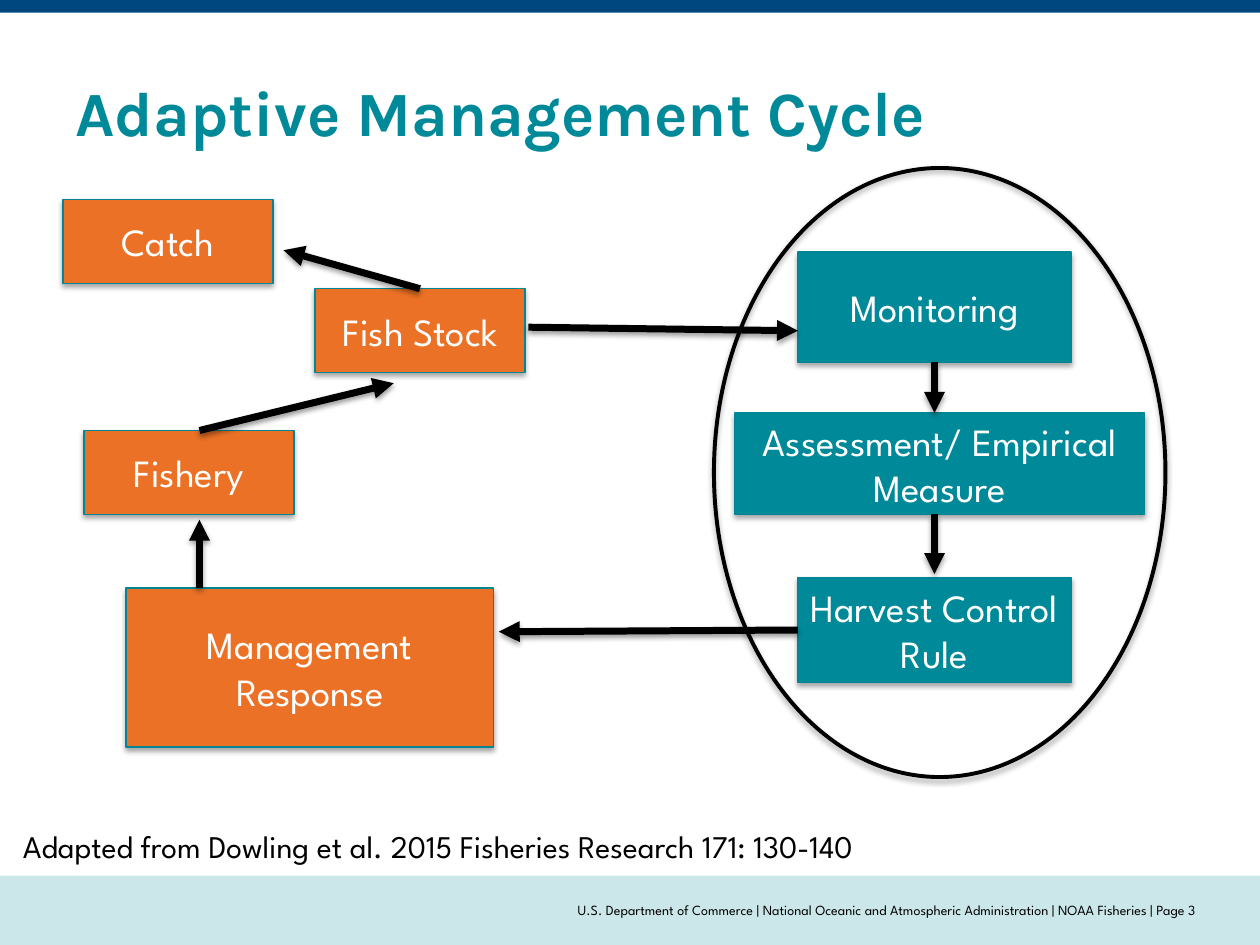
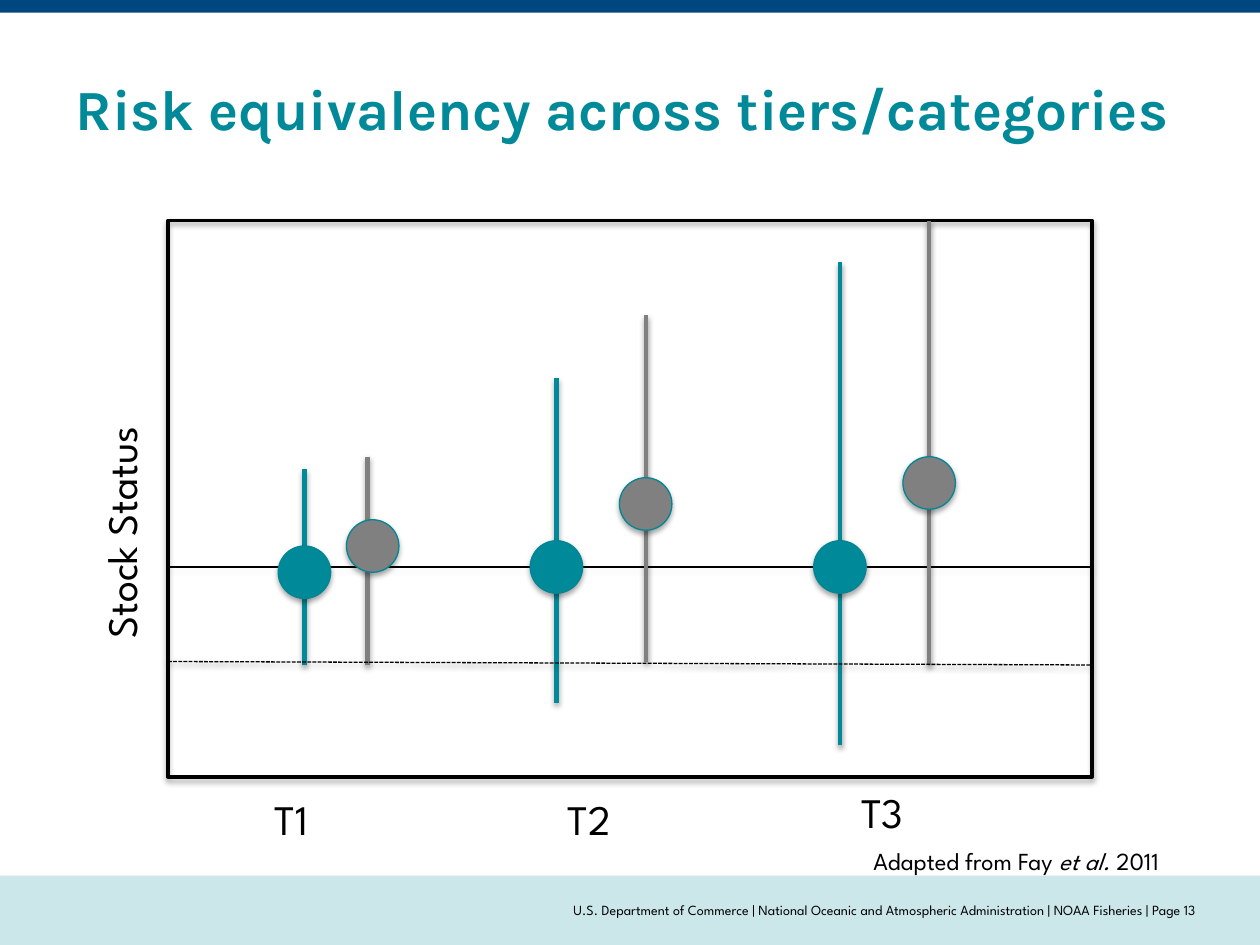
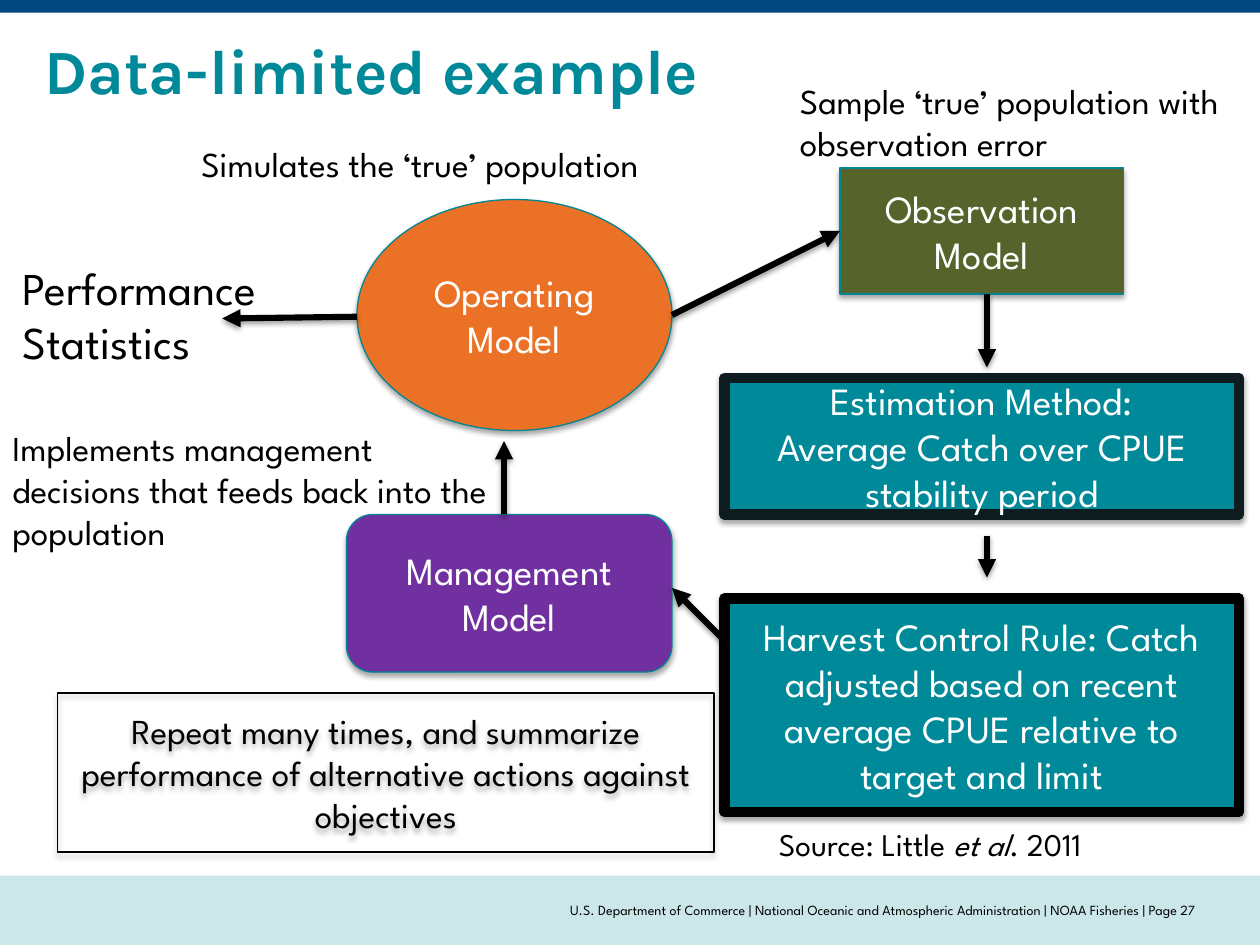
from lxml.etree import SubElement
from pptx import Presentation
from pptx.dml.color import RGBColor
from pptx.enum.dml import MSO_LINE
from pptx.enum.shapes import MSO_CONNECTOR, MSO_SHAPE
from pptx.enum.text import MSO_ANCHOR, MSO_AUTO_SIZE, PP_ALIGN
from pptx.oxml.ns import qn
from pptx.util import Pt

TEAL = RGBColor(0x00, 0x89, 0x98)
EDGE = RGBColor(0x00, 0x86, 0x95)
ORANGE = RGBColor(0xEA, 0x71, 0x25)
OLIVE = RGBColor(0x56, 0x64, 0x2B)
PURPLE = RGBColor(0x70, 0x30, 0xA0)
GREY = RGBColor(0x80, 0x80, 0x80)
NAVY = RGBColor(0x00, 0x46, 0x7F)
PALE = RGBColor(0xCC, 0xE7, 0xEA)
INK = RGBColor(0x0D, 0x1D, 0x1F)
BLACK = RGBColor(0x00, 0x00, 0x00)
WHITE = RGBColor(0xFF, 0xFF, 0xFF)

TITLE_FONT, BODY_FONT = "Karla", "League Spartan"
RECT, OVAL, ROUNDED = MSO_SHAPE.RECTANGLE, MSO_SHAPE.OVAL, MSO_SHAPE.ROUNDED_RECTANGLE

WIDTH, HEIGHT = 720, 540
TOP_BAND = (0, 0, WIDTH, 7.2)
FOOTER_BAND = (0, 500.4, WIDTH, 39.6)
FOOTER_TEXT = (180, 500.4, 504, 39.6)
FOOTER_PARTS = ("U.S. Department of Commerce",
                "National Oceanic and Atmospheric Administration",
                "NOAA Fisheries")

CYCLE_STEPS = [
    ("Monitoring", TEAL, (456, 144, 156, 63)),
    ("Assessment/ Empirical Measure", TEAL, (420, 236, 234, 58)),
    ("Harvest Control Rule", TEAL, (456, 330, 156, 60)),
    ("Catch", ORANGE, (36, 114, 120, 48)),
    ("Fish Stock", ORANGE, (180, 165, 120, 48)),
    ("Fishery", ORANGE, (48, 246, 120, 48)),
    ("Management Response", ORANGE, (72, 336, 210, 91)),
]
STRATEGY_RING = (408, 96, 258, 348)
CYCLE_ARROWS = [
    (534, 207, 534, 236), (534, 294, 534, 328), (456, 360, 285, 361),
    (302, 187, 456, 189), (114, 336, 114, 297), (114, 246, 225, 219),
    (240, 165, 162, 143),
]
CYCLE_SOURCE = ("Adapted from Dowling et al. 2015 Fisheries Research 171: 130-140",
                (6, 469, 582, 29), 18)

PLOT = (96, 126, 528, 318)
TARGET = (96, 324, 624, 324)
LIMIT = (96, 378, 624, 380)
DOT = 30
STATUS_RANGES = [
    (TEAL, 174, 268, 380, (174, 327)),
    (GREY, 210, 261, 380, (213, 312)),
    (TEAL, 318, 216, 402, (318, 324)),
    (GREY, 369, 180, 378, (369, 288)),
    (TEAL, 480, 150, 426, (480, 324)),
    (GREY, 531, 126, 380, (531, 276)),
]
STATUS_AXIS = ("Stock Status", (-9, 276, 156, 36), 24)
TIER_LABELS = [
    ("T1", (150, 450, 42, 36), 24),
    ("T2", (317.5, 450, 42, 36), 24),
    ("T3", (485, 446, 42, 36), 24),
    ("Adapted from Fay *et al.* 2011", (492, 480, 228, 24), 14),
]

MODELS = [
    ("Observation Model", RECT, OLIVE, EDGE, 0.75, (480, 96, 162, 72)),
    ("Estimation Method:\nAverage Catch over CPUE stability period",
     RECT, TEAL, INK, 6, (414, 216, 294, 78)),
    ("Harvest Control Rule: Catch adjusted based on recent average CPUE "
     "relative to target and limit", RECT, TEAL, BLACK, 6, (414, 342, 294, 122)),
    ("Operating Model", OVAL, ORANGE, EDGE, 0.75, (204, 114, 180, 132)),
    ("Management Model", ROUNDED, PURPLE, EDGE, 0.75, (198, 294, 186, 90)),
]
MODEL_ARROWS = [
    (384, 180, 480, 132), (564, 168, 564, 210), (564, 306, 564, 330),
    (414, 366, 384, 336), (288, 294, 288, 252), (204, 181, 127, 182),
]
REPEAT = ("Repeat many times, and summarize performance of alternative actions "
          "against objectives", (33, 396, 375, 91))
MODEL_NOTES = [
    ("Performance Statistics", (6, 145, 180, 71), 26),
    ("Simulates the ‘true’ population", (108, 78, 330, 32), 20),
    ("Sample ‘true’ population with observation error", (450, 42, 264, 55), 20),
    ("Implements management decisions that feeds back into the population",
     (0, 240, 294, 80), 20),
    ("Source: Little *et al*. 2011", (438, 468, 276, 29), 18),
]


def points(values):
    return [Pt(value) for value in values]


def write(frame, text, size=18, font=BODY_FONT, color=BLACK, bold=False,
          align=PP_ALIGN.LEFT, anchor=MSO_ANCHOR.TOP):
    frame.word_wrap = True
    frame.vertical_anchor = anchor
    for index, line in enumerate(text.split("\n")):
        paragraph = frame.add_paragraph() if index else frame.paragraphs[0]
        paragraph.alignment = align
        for part, words in enumerate(line.split("*")):
            run = paragraph.add_run()
            run.text = words
            run.font.size = Pt(size)
            run.font.name = font
            run.font.color.rgb = color
            run.font.bold = bold
            run.font.italic = part % 2 == 1


def cast_shadow(effects, opacity, distance):
    shadow = SubElement(effects, qn("a:outerShdw"), blurRad=str(Pt(3.1)),
                        dist=str(Pt(distance)), dir="5400000", rotWithShape="0")
    tint = SubElement(shadow, qn("a:srgbClr"), val=str(BLACK))
    SubElement(tint, qn("a:alpha"), val=str(opacity * 1000))


def add_box(slide, kind, place, fill=None, edge=EDGE, weight=0.75, shadow=True):
    box = slide.shapes.add_shape(kind, *points(place))
    if fill is None:
        box.fill.background()
    else:
        box.fill.solid()
        box.fill.fore_color.rgb = fill
    if edge is None:
        box.line.fill.background()
    else:
        box.line.color.rgb = edge
        box.line.width = Pt(weight)
    box.shadow.inherit = False
    if shadow:
        cast_shadow(box.element.spPr.find(qn("a:effectLst")), 35, 1.8)
    return box


def add_line(slide, ends, color=BLACK, weight=0.75, dash=None, arrow=False):
    connector = slide.shapes.add_connector(MSO_CONNECTOR.STRAIGHT, *points(ends))
    connector.line.color.rgb = color
    connector.line.width = Pt(weight)
    if dash:
        connector.line.dash_style = dash
    properties = connector.element.spPr
    if arrow:
        SubElement(properties.find(qn("a:ln")), qn("a:tailEnd"), type="triangle")
    cast_shadow(SubElement(properties, qn("a:effectLst")), 38, 1.6)


def add_note(slide, text, place, size):
    note = slide.shapes.add_textbox(*points(place))
    write(note.text_frame, text, size=size)
    return note


def label(box, text, size=22, color=WHITE):
    write(box.text_frame, text, size=size, color=color,
          align=PP_ALIGN.CENTER, anchor=MSO_ANCHOR.MIDDLE)


def start_slide(deck, heading, page, place=(36, 36, 648, 53), size=36):
    slide = deck.slides.add_slide(deck.slide_layouts[5])
    add_box(slide, RECT, FOOTER_BAND, PALE, None, shadow=False)
    add_box(slide, RECT, TOP_BAND, NAVY, None, shadow=False)
    title = slide.shapes.title
    title.left, title.top, title.width, title.height = points(place)
    title.text_frame.auto_size = MSO_AUTO_SIZE.NONE
    title.text_frame.margin_top = Pt(6)
    write(title.text_frame, heading, size=size, font=TITLE_FONT, color=TEAL, bold=True)
    footer = slide.shapes.add_textbox(*points(FOOTER_TEXT)).text_frame
    footer.margin_left = footer.margin_right = Pt(0)
    write(footer, " | ".join((*FOOTER_PARTS, f"Page {page}")), size=8,
          align=PP_ALIGN.RIGHT, anchor=MSO_ANCHOR.MIDDLE)
    return slide


def build_cycle(deck):
    slide = start_slide(deck, "Adaptive Management Cycle", 3)
    for step, fill, place in CYCLE_STEPS:
        label(add_box(slide, RECT, place, fill), step)
    add_box(slide, OVAL, STRATEGY_RING, edge=BLACK, weight=2.25)
    for ends in CYCLE_ARROWS:
        add_line(slide, ends, weight=4, arrow=True)
    add_note(slide, *CYCLE_SOURCE)


def build_risk(deck):
    slide = start_slide(deck, "Risk equivalency across tiers/categories", 13, size=32.4)
    add_box(slide, RECT, PLOT, edge=BLACK, weight=2)
    add_line(slide, TARGET)
    for color, x, top, bottom, (dot_x, dot_y) in STATUS_RANGES:
        add_line(slide, (x, top, x, bottom), color, 2.5)
        add_box(slide, OVAL, (dot_x - DOT / 2, dot_y - DOT / 2, DOT, DOT), color)
    add_line(slide, LIMIT, dash=MSO_LINE.SQUARE_DOT)
    add_note(slide, *STATUS_AXIS).rotation = 270
    for tier in TIER_LABELS:
        add_note(slide, *tier)


def build_example(deck):
    slide = start_slide(deck, "Data-limited example", 27, place=(18, 12, 648, 53))
    for name, kind, fill, edge, weight, place in MODELS:
        label(add_box(slide, kind, place, fill, edge, weight), name)
    for ends in MODEL_ARROWS:
        add_line(slide, ends, weight=3.5, arrow=True)
    advice, place = REPEAT
    label(add_box(slide, RECT, place, edge=BLACK), advice, 20, BLACK)
    for note in MODEL_NOTES:
        add_note(slide, *note)


def main():
    deck = Presentation()
    deck.slide_width, deck.slide_height = Pt(WIDTH), Pt(HEIGHT)
    for build in (build_cycle, build_risk, build_example):
        build(deck)
    deck.save("out.pptx")


if __name__ == "__main__":
    main()
